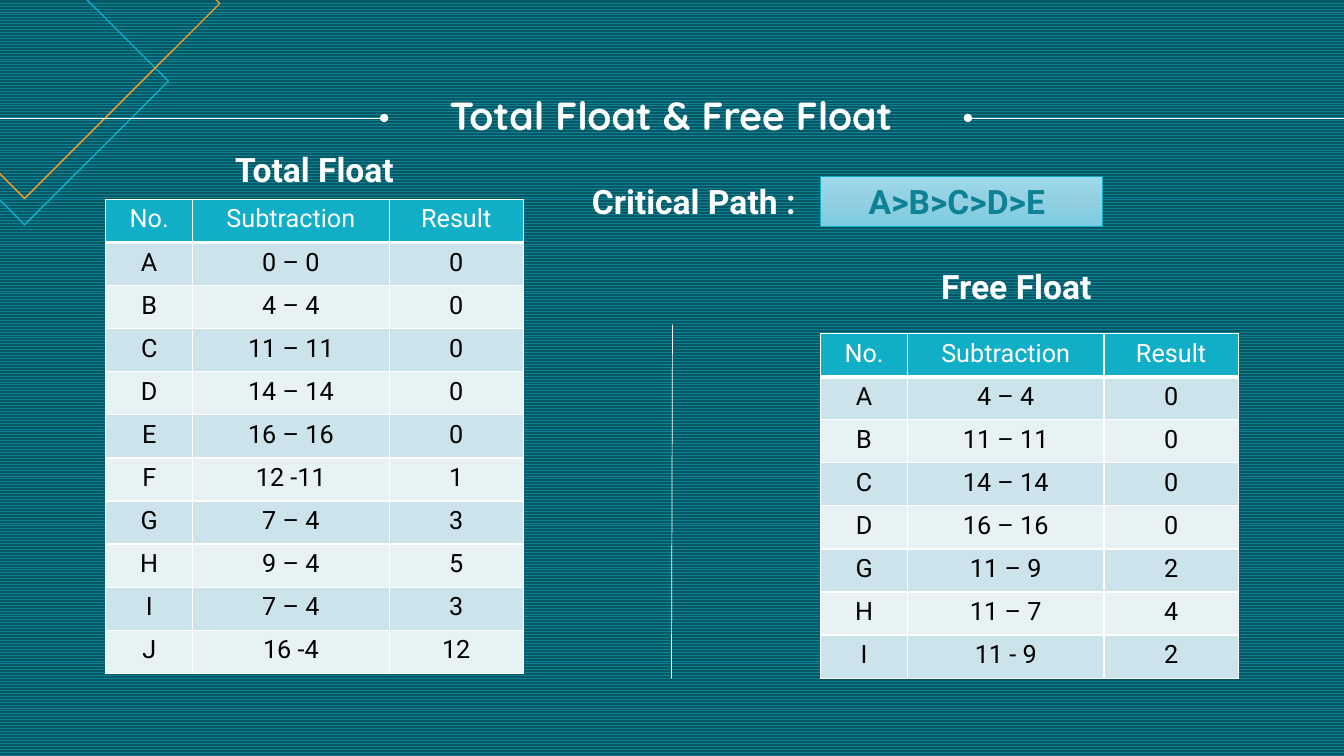
from copy import deepcopy

from pptx import Presentation
from pptx.dml.color import RGBColor
from pptx.enum.dml import MSO_PATTERN
from pptx.enum.shapes import MSO_CONNECTOR, MSO_SHAPE
from pptx.enum.text import MSO_ANCHOR, MSO_AUTO_SIZE, PP_ALIGN
from pptx.oxml.ns import qn
from pptx.oxml.xmlchemy import OxmlElement
from pptx.util import Inches, Pt

ZIGZAG = MSO_PATTERN.ZIG_ZAG
STRAIGHT = MSO_CONNECTOR.STRAIGHT
DIAMOND, RECT = MSO_SHAPE.DIAMOND, MSO_SHAPE.RECTANGLE
MIDDLE, TOP = MSO_ANCHOR.MIDDLE, MSO_ANCHOR.TOP
NO_FIT = MSO_AUTO_SIZE.NONE
CENTER = PP_ALIGN.CENTER

COLORS = {
    "teal": "0D8295", "deep": "085764", "cyan": "11AEC7", "amber": "F59F26",
    "white": "FFFFFF", "black": "000000", "odd": "CCE3EB", "even": "E7F2F5",
    "light": "9ED9EB", "mid": "91CFE1", "dark": "7CCCE1",
}
WIDTH, HEIGHT = 13.33, 7.5
COLS = (0.86, 1.95, 1.33)
HEAD = ("No.", "Subtraction", "Result")
TOTAL = (
    ("A", "0 – 0", "0"), ("B", "4 – 4", "0"), ("C", "11 – 11", "0"),
    ("D", "14 – 14", "0"), ("E", "16 – 16", "0"), ("F", "12 -11", "1"),
    ("G", "7 – 4", "3"), ("H", "9 – 4", "5"), ("I", "7 – 4", "3"),
    ("J", "16 -4", "12"),
)
FREE = (
    ("A", "4 – 4", "0"), ("B", "11 – 11", "0"), ("C", "14 – 14", "0"),
    ("D", "16 – 16", "0"), ("G", "11 – 9", "2"), ("H", "11 – 7", "4"),
    ("I", "11 - 9", "2"),
)


def rgb(name):
    """Return the named colour."""
    return RGBColor.from_string(COLORS[name])


def style(frame, size, color, bold=True, font="Roboto"):
    """Centre and format all text in a frame."""
    for para in frame.paragraphs:
        para.alignment = CENTER
        for run in para.runs:
            run.font.size, run.font.bold, run.font.name = Pt(size), bold, font
            run.font.color.rgb = rgb(color)


def add_label(slide, text, x, y, color="white"):
    """Add a bold heading in a box of the common size."""
    box = slide.shapes.add_textbox(Inches(x), Inches(y), Inches(3.02), Inches(0.5))
    box.text_frame.word_wrap = True
    box.text_frame.text = text
    style(box.text_frame, 24, color)


def add_line(slide, start, end, dot=None):
    """Draw a thin white line, with a dot at headEnd or tailEnd if asked."""
    line = slide.shapes.add_connector(STRAIGHT, *map(Inches, start + end))
    line.line.width = Pt(0.5)
    line.line.color.rgb = rgb("white")
    if dot:
        mark = OxmlElement("a:" + dot)
        mark.set("type", "oval")
        line.line._get_or_add_ln().append(mark)
    line._element.spPr.append(OxmlElement("a:effectLst"))


def add_shape(slide, kind, x, y, w, h, color, weight):
    """Add an outlined shape without fill or shadow."""
    shape = slide.shapes.add_shape(kind, *map(Inches, (x, y, w, h)))
    shape.shadow.inherit = False
    shape.fill.background()
    shape.line.color.rgb = rgb(color)
    shape.line.width = Pt(weight)
    return shape


def add_title(slide, text, x, y, w, h):
    """Place the title with a dotted rule on each side."""
    title = slide.shapes.title
    title.left, title.top, title.width, title.height = map(Inches, (x, y, w, h))
    frame = title.text_frame
    frame.margin_left = frame.margin_right = frame.margin_top = frame.margin_bottom = 0
    frame.auto_size, frame.vertical_anchor = NO_FIT, MIDDLE
    frame.text = text
    frame.paragraphs[0].line_spacing = 0.9
    style(frame, 28, "white", font="Quicksand")
    rule = y + h / 2
    add_line(slide, (9.6, rule), (WIDTH, rule), "headEnd")
    add_line(slide, (0, rule), (3.81, rule), "tailEnd")


def add_border(cell, side, weight):
    """Draw one white cell border."""
    edge = OxmlElement("a:ln" + side)
    edge.set("w", str(Pt(weight)))
    fill, color = OxmlElement("a:solidFill"), OxmlElement("a:srgbClr")
    color.set("val", COLORS["white"])
    fill.append(color)
    edge.append(fill)
    cell._tc.get_or_add_tcPr().append(edge)


def add_grid(slide, rows, x, y, h):
    """Add a float table with a header and banded rows."""
    rows = (HEAD,) + rows
    table = slide.shapes.add_table(len(rows), len(COLS), Inches(x), Inches(y),
                                   Inches(sum(COLS)), Inches(h)).table
    table.first_row = table.horz_banding = False
    for col, width in zip(table.columns, COLS):
        col.width = Inches(width)
    for r, row in enumerate(rows):
        band = "odd" if r % 2 else "even"
        for c, text in enumerate(row):
            cell = table.cell(r, c)
            for side in "LRTB":
                thick = (r, side) in ((0, "B"), (1, "T"))
                add_border(cell, side, 3 if thick else 1)
            cell.fill.solid()
            cell.fill.fore_color.rgb = rgb(band if r else "cyan")
            cell.vertical_anchor = TOP
            cell.text_frame.text = text
            style(cell.text_frame, 18, "black" if r else "white", bold=False)


def add_route(slide, x, y):
    """Add the critical path label and its shaded answer box."""
    add_label(slide, "Critical Path :", x, y)
    box = add_shape(slide, RECT, x + 2.77, y, 2.79, 0.5, "cyan", 0.5)
    box.fill.gradient()
    box.fill.gradient_angle = 270
    stops = box._element.spPr.find(".//" + qn("a:gsLst"))
    stops.insert(1, deepcopy(stops[0]))
    shades = zip(box.fill.gradient_stops, ("light", "mid", "dark"), (0, 0.5, 1))
    for stop, name, place in shades:
        stop.color.rgb = rgb(name)
        stop.position = place
    add_label(slide, "A>B>C>D>E", x + 2.61, y, "teal")


def main():
    """Build the slide and save it."""
    deck = Presentation()
    deck.slide_width, deck.slide_height = Inches(WIDTH), Inches(HEIGHT)
    slide = deck.slides.add_slide(deck.slide_layouts[5])
    back = slide.background.fill
    back.patterned()
    back.pattern = ZIGZAG
    back.fore_color.rgb, back.back_color.rgb = rgb("teal"), rgb("deep")
    add_shape(slide, DIAMOND, -1.18, -0.62, 2.85, 2.85, "cyan", 1)
    add_shape(slide, DIAMOND, -1.69, -1.9, 3.87, 3.87, "amber", 1)
    add_title(slide, "Total Float & Free Float", 0.24, 0.96, 12.83, 0.42)
    add_grid(slide, TOTAL, 1.05, 1.98, 4.7)
    add_label(slide, "Total Float", 1.61, 1.43)
    add_line(slide, (6.67, 3.22), (6.66, 6.73))
    add_grid(slide, FREE, 8.14, 3.31, 3.42)
    add_label(slide, "Free Float", 8.57, 2.59)
    add_route(slide, 5.37, 1.75)
    deck.save("out.pptx")


if __name__ == "__main__":
    main()
